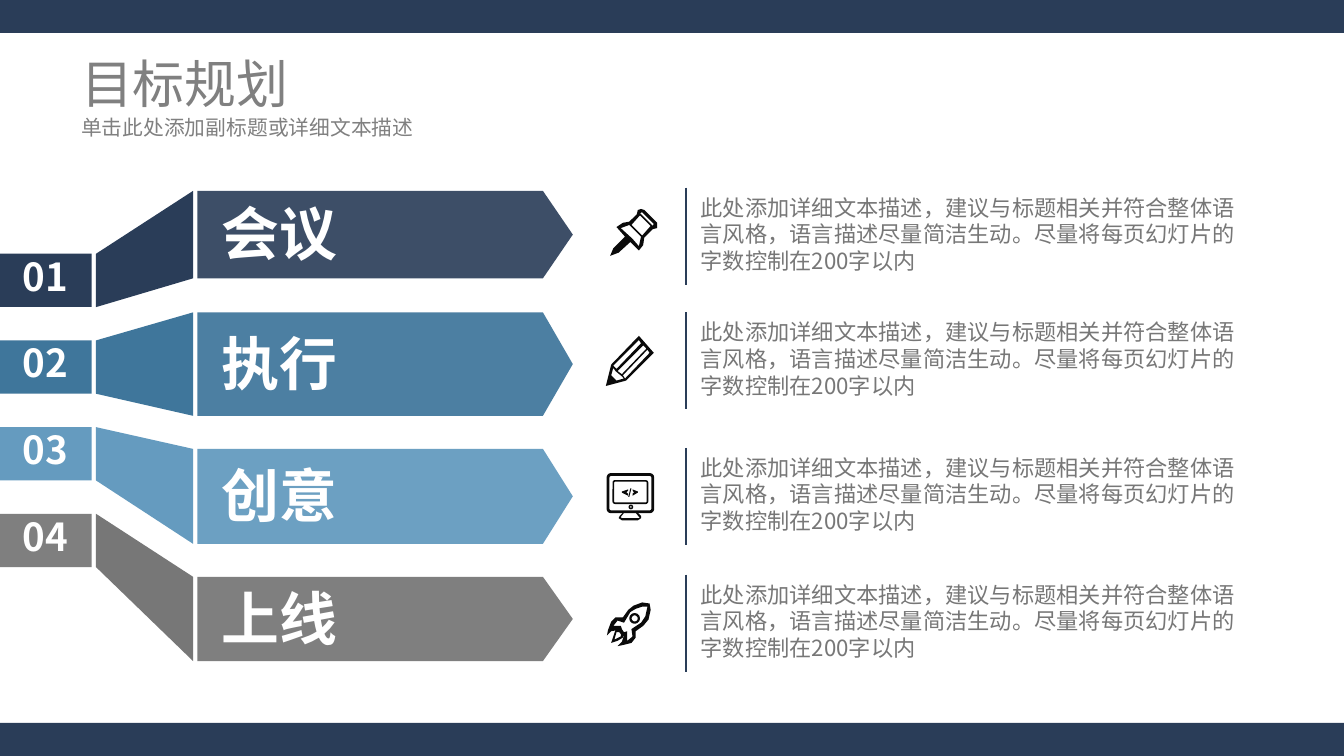
import pptx
import pptx.util
import pptx.dml.color
import pptx.enum.shapes
import pptx.enum.text
import pptx.oxml.ns
import lxml.etree
from dataclasses import dataclass

Inches = pptx.util.Inches
Shape = pptx.enum.shapes.MSO_SHAPE
Align = pptx.enum.text.PP_ALIGN
Anchor = pptx.enum.text.MSO_ANCHOR


@dataclass(frozen=True)
class Theme:
    font: str = "Noto Sans CJK SC"
    navy: str = "2A3D58"
    blue: str = "3F769B"
    sky: str = "659BBF"
    gray: str = "777777"
    head: str = "808080"
    white: str = "FFFFFF"
    ink: str = "0A0A0A"
    title: int = 35
    sub: int = 14
    label: int = 39
    number: int = 26
    body: int = 15


def child(node, tag, **attrs):
    return lxml.etree.SubElement(node, pptx.oxml.ns.qn(tag), **attrs)


class Deck:
    def __init__(self, theme, wide, high):
        self.theme = theme
        self.file = pptx.Presentation()
        self.file.slide_width = Inches(wide)
        self.file.slide_height = Inches(high)
        self.slide = self.file.slides.add_slide(self.file.slide_layouts[1])
        self.shapes = self.slide.shapes

    def paint(self, shape, color, alpha=100):
        shape.shadow.inherit = False
        shape.line.fill.background()
        shape.fill.solid()
        shape.fill.fore_color.rgb = pptx.dml.color.RGBColor.from_string(color)
        if alpha < 100:
            tone = shape._element.spPr.find(".//" + pptx.oxml.ns.qn("a:srgbClr"))
            child(tone, "a:alpha", val=str(alpha * 1000))

    def block(self, box, color, alpha=100):
        shape = self.shapes.add_shape(Shape.RECTANGLE, *map(Inches, box))
        self.paint(shape, color, alpha)

    def poly(self, loops, color, alpha=100):
        """Fill an outline; any further loops cut holes in it."""
        pen = None
        for loop in loops:
            (x, y), *rest = [(Inches(a), Inches(b)) for a, b in loop]
            if pen is None:
                pen = self.shapes.build_freeform(x, y, scale=1.0)
            else:
                pen.move_to(x, y)
            pen.add_line_segments(rest, close=True)
        self.paint(pen.convert_to_shape(), color, alpha)

    def ring(self, kind, box, width, curve=None):
        shape = self.shapes.add_shape(kind, *map(Inches, box))
        shape.shadow.inherit = False
        shape.fill.background()
        if curve is not None:
            shape.adjustments[0] = curve
        self.stroke(shape, self.theme.ink, width)

    def stroke(self, shape, color, width):
        shape.line.color.rgb = pptx.dml.color.RGBColor.from_string(color)
        shape.line.width = pptx.util.Pt(width)

    def rule(self, x, top, high, color):
        ends = map(Inches, (x, top, x, top + high))
        line = self.shapes.add_connector(pptx.enum.shapes.MSO_CONNECTOR.STRAIGHT, *ends)
        self.stroke(line, color, 1.5)
        child(line._element.spPr, "a:effectLst")

    def style(self, frame, text, size, color, bold=False, align=Align.LEFT, pad=(0.11, 0.05)):
        frame.text = text
        frame.auto_size = pptx.enum.text.MSO_AUTO_SIZE.NONE
        frame.margin_left = frame.margin_right = Inches(pad[0])
        frame.margin_top = frame.margin_bottom = Inches(pad[1])
        para = frame.paragraphs[0]
        para.alignment = align
        run = para.runs[0]
        run.font.name = self.theme.font
        run.font.size = pptx.util.Pt(size)
        run.font.bold = bold
        run.font.color.rgb = pptx.dml.color.RGBColor.from_string(color)
        child(run._r.get_or_add_rPr(), "a:ea", typeface=self.theme.font)
        return para

    def text(self, box, text, size, color, wrap=False, **look):
        frame = self.shapes.add_textbox(*map(Inches, box)).text_frame
        frame.word_wrap = wrap
        return self.style(frame, text, size, color, **look)

    def holder(self, index, box, text, size, anchor):
        shape = self.slide.placeholders[index]
        shape.left, shape.top, shape.width, shape.height = map(Inches, box)
        shape.text_frame.vertical_anchor = anchor
        para = self.style(shape.text_frame, text, size, self.theme.head, pad=(0.13, 0.06))
        props = para._p.get_or_add_pPr()
        props.set("marL", "0")
        props.set("indent", "0")
        child(props, "a:buNone")

    # Icons
    def pin(self):
        self.poly([
            [(6.04, 2.23), (6.12, 2.15), (6.16, 2.14), (6.16, 2.09), (6.04, 1.97), (6.01, 1.96),
             (5.98, 1.97), (5.97, 2.01), (5.9, 2.08), (5.84, 2.09), (5.78, 2.13), (5.86, 2.22),
             (5.75, 2.33), (5.72, 2.4), (5.8, 2.37), (5.91, 2.27), (5.99, 2.35), (6.03, 2.3)],
            [(6.02, 1.99), (6.13, 2.1), (6.12, 2.12), (6, 2)],
            [(6.02, 2.21), (5.92, 2.11), (6, 2.02), (6.1, 2.12)],
            [(5.93, 2.24), (5.82, 2.14), (5.9, 2.11), (6.01, 2.22), (5.99, 2.31)],
        ], self.theme.ink)

    def pencil(self):
        self.poly([
            [(6.13, 3.31), (5.99, 3.15), (5.73, 3.42), (5.68, 3.62), (5.87, 3.57)],
            [(5.86, 3.55), (5.84, 3.52), (6.07, 3.28), (6.09, 3.31)],
            [(5.78, 3.57), (5.73, 3.52), (5.75, 3.45), (5.77, 3.48), (5.83, 3.53), (5.85, 3.55)],
            [(6.06, 3.27), (5.83, 3.51), (5.79, 3.48), (6.03, 3.24)],
            [(5.99, 3.19), (6.01, 3.22), (5.78, 3.46), (5.75, 3.43)],
        ], self.theme.ink)

    def screen(self):
        self.ring(Shape.ROUNDED_RECTANGLE, (5.7, 4.45, 0.42, 0.35), 1.9, 0.08)
        self.ring(Shape.ROUNDED_RECTANGLE, (5.75, 4.51, 0.32, 0.21), 1.1, 0.08)
        self.ring(Shape.OVAL, (5.9, 4.74, 0.03, 0.03), 1)
        self.poly([
            [(5.84, 4.81), (5.81, 4.84), (5.8, 4.86), (5.83, 4.88), (5.98, 4.88), (6.01, 4.86),
             (6.01, 4.84), (5.98, 4.81)],
            [(5.85, 4.81), (5.82, 4.85), (5.83, 4.86), (5.98, 4.86), (6, 4.86), (5.96, 4.81)],
        ], self.theme.ink)
        for tip, end in ((5.83, 5.89), (5.98, 5.93)):
            inner = tip + (end - tip) * 0.7
            self.poly([[(tip, 4.62), (end, 4.65), (end, 4.63), (inner, 4.62), (end, 4.6),
                        (end, 4.59), (tip, 4.61)]], self.theme.ink)
        self.poly([[(5.91, 4.58), (5.92, 4.58), (5.9, 4.66), (5.89, 4.66)]], self.theme.ink)

    def rocket(self):
        self.poly([
            [(5.69, 5.96), (5.7, 5.91), (5.73, 5.83), (5.77, 5.79), (5.84, 5.79), (5.89, 5.72),
             (5.94, 5.68), (6.02, 5.65), (6.09, 5.66), (6.1, 5.72), (6.08, 5.81), (6.03, 5.87),
             (5.96, 5.92), (5.96, 5.98), (5.92, 6.03), (5.84, 6.05), (5.79, 6.06), (5.83, 6.02),
             (5.85, 5.96), (5.84, 5.97), (5.79, 5.91), (5.73, 5.92)],
            [(5.96, 5.71), (5.91, 5.74), (5.85, 5.84), (5.79, 5.82), (5.75, 5.87), (5.82, 5.87),
             (5.83, 5.9), (5.85, 5.93), (5.88, 5.92), (5.88, 6.01), (5.93, 5.97), (5.92, 5.9),
             (6.01, 5.84), (6.05, 5.78), (6.07, 5.69), (6.02, 5.69)],
        ], self.theme.ink)
        self.ring(Shape.OVAL, (5.91, 5.76, 0.08, 0.08), 1.5)
        self.poly([
            [(5.73, 6.03), (5.77, 5.91), (5.8, 5.9), (5.84, 5.93), (5.84, 5.98), (5.79, 6.01)],
            [(5.82, 5.93), (5.78, 5.93), (5.76, 6), (5.82, 5.97)],
        ], self.theme.ink)


def main():
    theme = Theme()
    wide, high = 12.6, 7.09
    deck = Deck(theme, wide, high)

    # Heading
    deck.holder(0, (0.63, 0.52, 11.34, 0.51), "目标规划", theme.title, Anchor.MIDDLE)
    deck.holder(1, (0.63, 1.02, 11.34, 0.42), "单击此处添加副标题或详细文本描述", theme.sub, Anchor.TOP)

    # Top and bottom bars
    bar = 0.31
    for top in (0, high - bar):
        deck.block((0, top, wide, bar), theme.navy)

    # Steps: label, color, tab alpha, band alpha, band top, band end, rule top, icon
    note = ("此处添加详细文本描述，建议与标题相关并符合整体语言风格，"
            "语言描述尽量简洁生动。尽量将每页幻灯片的字数控制在200字以内")
    steps = [
        ("会议", theme.navy, 100, 91, 1.79, 2.61, 1.76, deck.pin),
        ("执行", theme.blue, 100, 93, 2.93, 3.9, 2.93, deck.pencil),
        ("创意", theme.sky, 100, 95, 4.21, 5.1, 4.2, deck.screen),
        ("上线", theme.gray, 94, 94, 5.41, 6.2, 5.39, deck.rocket),
    ]
    edge, fold, left, neck, tip = 0.86, 0.9, 1.85, 5.09, 5.37
    tab = 0.5
    for i, (label, color, fade, alpha, top, end, mark, icon) in enumerate(steps):
        start = 2.38 + i * 0.813
        mid = (top + end) / 2

        # Number tab, fold and arrow band
        deck.block((0, start, edge, tab), color, fade)
        deck.poly([[(fold, start + tab), (1.81, end), (1.81, top), (fold, start)]], color)
        deck.poly([[(left, top), (neck, top), (tip, mid), (neck, end), (left, end)]], color, alpha)
        deck.text((0.1, start - 0.06, 0.67, 0.55), f"{i + 1:02}", theme.number, theme.white, bold=True)
        deck.text((1.97, mid - 0.39, 1.31, 0.77), label, theme.label, theme.white, bold=True)

        # Icon, rule and note
        icon()
        deck.rule(6.43, mark, 0.91, theme.navy)
        deck.text((6.46, mark + 0.01, 5.23, 0.87), note, theme.body, theme.gray,
                  wrap=True, align=Align.JUSTIFY)

    deck.file.save("out.pptx")


if __name__ == "__main__":
    main()
